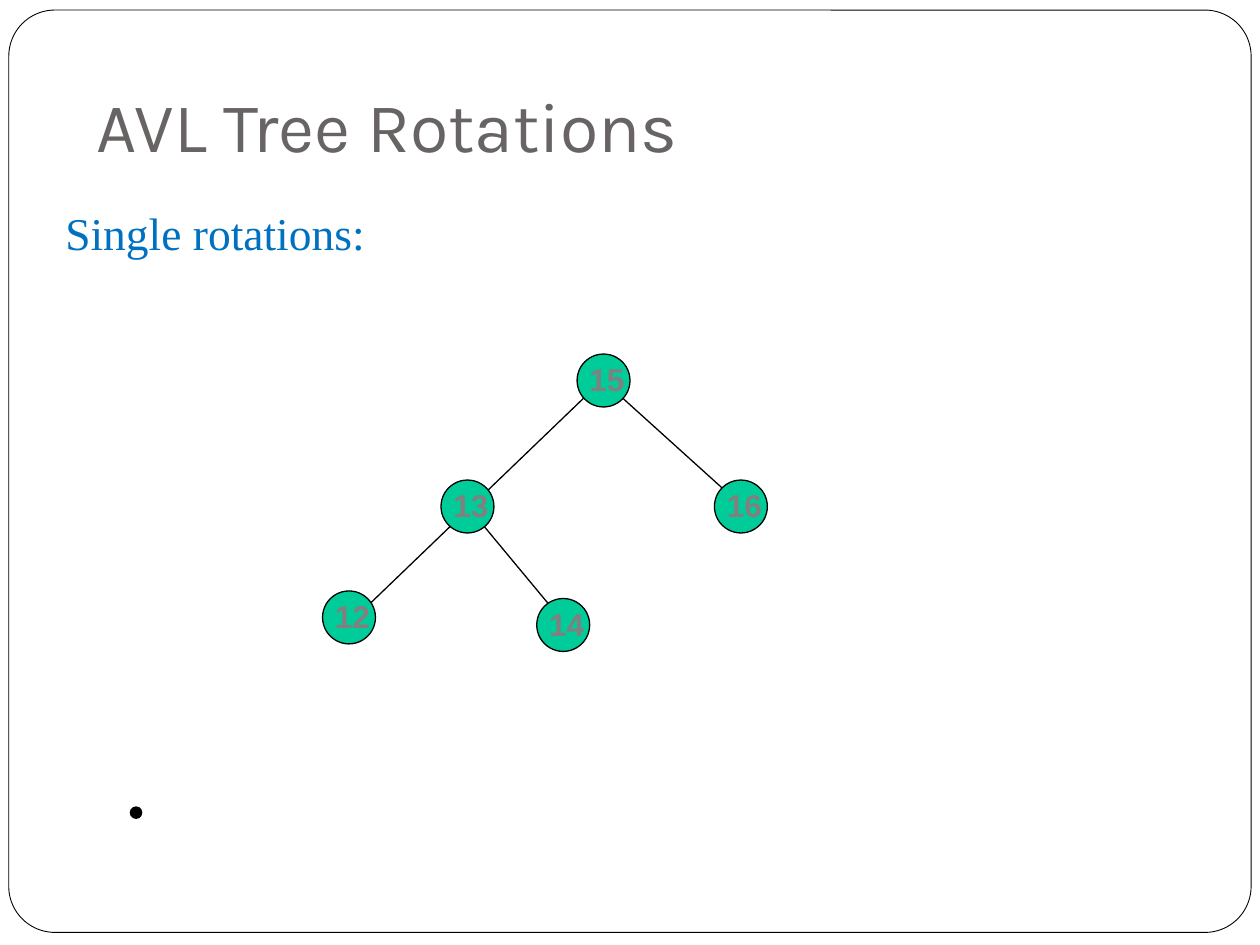
from dataclasses import dataclass

from lxml import etree
from pptx import Presentation
from pptx.dml.color import RGBColor
from pptx.enum.shapes import MSO_CONNECTOR, MSO_SHAPE
from pptx.enum.text import MSO_ANCHOR, MSO_AUTO_SIZE
from pptx.oxml.ns import qn
from pptx.util import Inches, Pt

ROUNDED = MSO_SHAPE.ROUNDED_RECTANGLE
OVAL = MSO_SHAPE.OVAL
STRAIGHT = MSO_CONNECTOR.STRAIGHT
TOP, BOTTOM = MSO_ANCHOR.TOP, MSO_ANCHOR.BOTTOM


@dataclass(frozen=True)
class Theme:
    line: str = "000000"
    title: str = "696464"
    heading: str = "0070C0"
    node: str = "00CC99"
    label: str = "808080"
    title_size: float = 40
    heading_size: float = 26
    label_size: float = 18
    frame_width: float = 0.5
    tree_width: float = 0.75


THEME = Theme()
NODE_SIZE = 0.42

# Key and top left corner of each tree node
NODES = [
    ("13", 3.5, 3.81),
    ("15", 4.58, 2.81),
    ("16", 5.67, 3.81),
    ("12", 2.56, 4.69),
    ("14", 4.26, 4.75),
]

# Start and end of each branch; the long one runs from 15 through 13 to 12
BRANCHES = [
    ((3.67, 3.97), (4.5, 4.97)),
    ((2.75, 4.97), (4.83, 2.97)),
    ((4.92, 3.14), (5.75, 3.89)),
]


def color(value):
    return RGBColor.from_string(value)


def add_shape(slide, kind, left, top, width, height, fill=None, line_width=None):
    shape = slide.shapes.add_shape(
        kind, Inches(left), Inches(top), Inches(width), Inches(height))
    shape.shadow.inherit = False
    if fill:
        shape.fill.solid()
        shape.fill.fore_color.rgb = color(fill)
    else:
        shape.fill.background()
    if line_width:
        shape.line.color.rgb = color(THEME.line)
        shape.line.width = Pt(line_width)
    else:
        shape.line.fill.background()
    return shape


def add_text(slide, text, left, top, width, height, *, font, size, fill,
             bold=False, anchor=TOP, bottom_inset=0.05, space_before=0, grow=False):
    box = slide.shapes.add_textbox(
        Inches(left), Inches(top), Inches(width), Inches(height))
    frame = box.text_frame
    frame.word_wrap = True
    frame.vertical_anchor = anchor
    frame.margin_bottom = Inches(bottom_inset)
    if grow:
        frame.auto_size = MSO_AUTO_SIZE.SHAPE_TO_FIT_TEXT
    paragraph = frame.paragraphs[0]
    paragraph.space_before = Pt(space_before)
    run = paragraph.add_run()
    run.text = text
    run.font.name = font
    run.font.size = Pt(size)
    run.font.bold = bold
    run.font.color.rgb = color(fill)


def add_branch(slide, start, end):
    points = [Inches(value) for value in (*start, *end)]
    branch = slide.shapes.add_connector(STRAIGHT, *points)
    branch.line.color.rgb = color(THEME.line)
    branch.line.width = Pt(THEME.tree_width)
    etree.SubElement(branch.element.spPr, qn("a:effectLst"))


def add_node(slide, key, left, top):
    add_shape(slide, OVAL, left, top, NODE_SIZE, NODE_SIZE,
              fill=THEME.node, line_width=THEME.tree_width)
    add_text(slide, key, left, top, 0.5, 0.4, font="Arial",
             size=THEME.label_size, fill=THEME.label, bold=True, grow=True)


def main():
    presentation = Presentation()
    presentation.slide_width = Inches(10)
    presentation.slide_height = Inches(7.5)
    slide = presentation.slides.add_slide(presentation.slide_layouts[6])

    # Slide frame
    frame = add_shape(slide, ROUNDED, 0.07, 0.08, 9.86, 7.32,
                      line_width=THEME.frame_width)
    frame.adjustments[0] = 0.05

    # Branches lie behind the nodes
    for start, end in BRANCHES:
        add_branch(slide, start, end)

    # Title and heading
    add_text(slide, "AVL Tree Rotations", 0.67, 0.17, 8.5, 1.25, font="Karla",
             size=THEME.title_size, fill=THEME.title, anchor=BOTTOM,
             bottom_inset=0.1)
    add_text(slide, "Single rotations:", 0.42, 1.58, 9.33, 0.67,
             font="Times New Roman", size=THEME.heading_size,
             fill=THEME.heading, space_before=5.8)

    # Tree nodes
    for key, left, top in NODES:
        add_node(slide, key, left, top)

    # Lone dot below the tree
    add_shape(slide, OVAL, 1.03, 6.4, 0.1, 0.1, fill=THEME.line)

    presentation.save("out.pptx")


if __name__ == "__main__":
    main()
